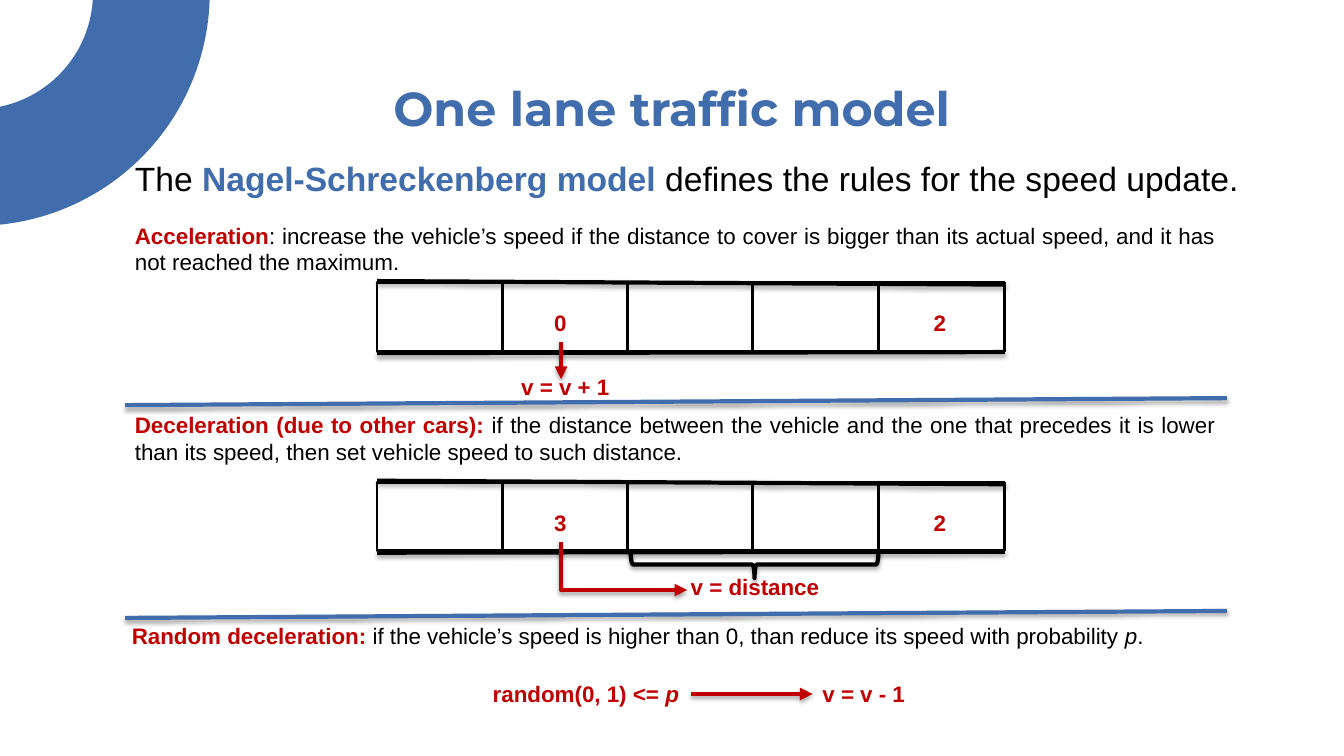
from lxml import etree
from pptx import Presentation
from pptx.dml.color import RGBColor
from pptx.enum.shapes import MSO_CONNECTOR, MSO_SHAPE
from pptx.enum.text import MSO_ANCHOR, MSO_AUTO_SIZE, PP_ALIGN
from pptx.oxml import parse_xml
from pptx.oxml.ns import nsdecls, qn
from pptx.util import Pt

BLUE = RGBColor(0x41, 0x6D, 0xAC)
RED = RGBColor(0xC0, 0x00, 0x00)
BLACK = RGBColor(0x00, 0x00, 0x00)
WHITE = RGBColor(0xFF, 0xFF, 0xFF)

LEFT, CENTER, JUSTIFY = PP_ALIGN.LEFT, PP_ALIGN.CENTER, PP_ALIGN.JUSTIFY
TOP, MIDDLE = MSO_ANCHOR.TOP, MSO_ANCHOR.MIDDLE
GROW = MSO_AUTO_SIZE.SHAPE_TO_FIT_TEXT
STRAIGHT = MSO_CONNECTOR.STRAIGHT
RECTANGLE, LEFT_BRACE, BLOCK_ARC = (
    MSO_SHAPE.RECTANGLE, MSO_SHAPE.LEFT_BRACE, MSO_SHAPE.BLOCK_ARC)

CELL_COUNT, CELL_PITCH, CELL_WIDTH, CELL_HEIGHT = 5, 89.5, 90, 49
LABEL_HEIGHT = 26.7
BOTTOM, RIGHT_SIDE, LEFT_SIDE = 2, 3, 1

SHADOW = (
    f'<a:effectLst {nsdecls("a")}><a:outerShdw blurRad="40000" dist="23000" '
    'dir="5400000" rotWithShape="0"><a:srgbClr val="000000">'
    '<a:alpha val="35000"/></a:srgbClr></a:outerShdw></a:effectLst>')


def add_text(slide, box, runs, size=16, color=RED, bold=True, font="Arial",
             align=LEFT, anchor=TOP):
    """runs is a string, or a list of (text, font attributes that differ)."""
    text_box = slide.shapes.add_textbox(*map(Pt, box))
    frame = text_box.text_frame
    frame.word_wrap = True
    frame.auto_size = GROW
    frame.vertical_anchor = anchor
    paragraph = frame.paragraphs[0]
    paragraph.alignment = align
    for text, changes in [(runs, {})] if isinstance(runs, str) else runs:
        run = paragraph.add_run()
        run.text = text
        run.font.name = font
        run.font.size = Pt(size)
        run.font.bold = changes.get("bold", bold)
        run.font.italic = changes.get("italic", False)
        run.font.color.rgb = changes.get("color", color)
    return text_box


def add_line(slide, start, end, color, arrow=False):
    line = slide.shapes.add_connector(STRAIGHT, *map(Pt, (*start, *end)))
    line.line.color.rgb = color
    line.line.width = Pt(3)
    if arrow:
        etree.SubElement(line.line._get_or_add_ln(), qn("a:tailEnd"), type="triangle")
    line._element.spPr.append(parse_xml(SHADOW))
    return line


def add_corner_arrow(slide, start, end):
    """Arrow that runs down first, then to the right."""
    across, down = end[0] - start[0], end[1] - start[1]
    left = (start[0] + end[0] - down) / 2
    top = (start[1] + end[1] - across) / 2
    arrow = add_line(slide, (left, top), (left + down, top + across), RED, arrow=True)
    properties = arrow._element.spPr
    properties.find(qn("a:prstGeom")).set("prst", "bentConnector2")
    frame = properties.find(qn("a:xfrm"))
    frame.set("rot", "16200000")
    frame.set("flipH", "1")


def add_shape(slide, kind, box, fill=None, line_width=0):
    shape = slide.shapes.add_shape(kind, *map(Pt, box))
    shape.shadow.inherit = False
    if fill is None:
        shape.fill.background()
    else:
        shape.fill.solid()
        shape.fill.fore_color.rgb = fill
    if line_width:
        shape.line.color.rgb = BLACK
        shape.line.width = Pt(line_width)
    else:
        shape.line.fill.background()
    return shape


def add_header(slide, left, top, width):
    # Quarter ring in the corner
    ring = add_shape(slide, BLOCK_ARC, (-183.6, -172.1, 333.4, 333.4), BLUE)
    ring.adjustments[0], ring.adjustments[1], ring.adjustments[2] = 0, 54, 0.25
    # Title and introduction
    add_text(slide, (left - 13.7, top, width, 60.5), "One lane traffic model",
             size=34, color=BLUE, font="Montserrat", align=CENTER, anchor=MIDDLE)
    add_text(slide, (left, top + 62.6, width, 36.3), [
        ("The ", {}),
        ("Nagel-Schreckenberg model ", {"color": BLUE, "bold": True}),
        ("defines the rules for the speed update.", {}),
    ], size=24, color=BLACK, bold=False, align=JUSTIFY)


def add_rule(slide, left, top, name, description, variable=""):
    plain = {"color": BLACK, "bold": False}
    runs = [(name, {}), (description, plain)]
    if variable:
        runs += [(variable, {**plain, "italic": True}), (".", plain)]
    height = LABEL_HEIGHT if variable else 46
    add_text(slide, (left, top, 786, height), runs, align=JUSTIFY)


def add_lane(slide, left, top, speed, next_speed):
    """Draws the road and returns the label of the rear car's speed."""
    for index in range(CELL_COUNT):
        add_shape(slide, RECTANGLE,
                  (left + index * CELL_PITCH, top, CELL_WIDTH, CELL_HEIGHT), WHITE, 2)
    # Road edges
    right = left + CELL_COUNT * CELL_PITCH + 1
    add_line(slide, (left, top - 1), (right, top + 1.5), BLACK)
    add_line(slide, (left, top + 50.4), (right, top + 49.7), BLACK)
    # Car speeds
    speed_label, _ = [
        add_text(slide, (left + offset, top + 15.8, 24, LABEL_HEIGHT), text)
        for offset, text in ((119.5, speed), (390.5, next_speed))]
    return speed_label


def add_acceleration(slide, left, top):
    speed_label = add_lane(slide, left, top, "0", "2")
    arrow_x = left + 131.5
    arrow = add_line(slide, (arrow_x, top + 42.5), (arrow_x, top + 69), RED, arrow=True)
    arrow.begin_connect(speed_label, BOTTOM)
    add_text(slide, (left + CELL_PITCH, top + 61.2, CELL_WIDTH, LABEL_HEIGHT),
             "v = v + 1", align=CENTER)


def add_deceleration(slide, left, top):
    add_lane(slide, left, top, "3", "2")
    add_corner_arrow(slide, (left + 131.5, top + 42.5), (left + 221.5, top + 77))
    add_text(slide, (left + 181.5, top + 61.2, 177, LABEL_HEIGHT),
             "v = distance", align=CENTER)
    # Brace under the free cells
    brace = add_shape(slide, LEFT_BRACE, (left + 260, top - 29.7, 19.4, 177), line_width=3)
    brace.rotation = 270
    properties = brace._element.spPr
    properties.replace(properties.find(qn("a:effectLst")), parse_xml(SHADOW))


def add_random_step(slide, left, top):
    condition = add_text(slide, (left, top, 149, LABEL_HEIGHT),
                         [("random(0, 1) <= ", {}), ("p", {"italic": True})])
    result = add_text(slide, (left + 235.5, top, 80, LABEL_HEIGHT), "v = v - 1")
    middle = top + LABEL_HEIGHT / 2
    arrow = add_line(slide, (left + 149, middle), (left + 235.5, middle), RED, arrow=True)
    arrow.begin_connect(condition, RIGHT_SIDE)
    arrow.end_connect(result, LEFT_SIDE)


def main():
    deck = Presentation()
    deck.slide_width, deck.slide_height = Pt(960), Pt(540)
    slide = deck.slides.add_slide(deck.slide_layouts[6])
    left, lane_left = 89.3, 269.3

    add_header(slide, left, 46.8, 808.5)

    add_rule(slide, left, 154.8, "Acceleration",
             ": increase the vehicle’s speed if the distance to cover is bigger "
             "than its actual speed, and it has not reached the maximum.")
    add_acceleration(slide, lane_left, 201.8)

    add_rule(slide, left, 290.2, "Deceleration (due to other cars): ",
             "if the distance between the vehicle and the one that precedes it is "
             "lower than its speed, then set vehicle speed to such distance.")
    add_deceleration(slide, lane_left, 344.4)

    add_rule(slide, left - 2.2, 440.6, "Random deceleration: ",
             "if the vehicle’s speed is higher than 0, than reduce its speed with "
             "probability ", variable="p")
    add_random_step(slide, 344.9, 482.4)

    # Dividers between the rules
    for divider_y in (289.4, 441.4):
        add_line(slide, (left, divider_y), (left + 787, divider_y - 5), BLUE)

    deck.save("out.pptx")


if __name__ == "__main__":
    main()
